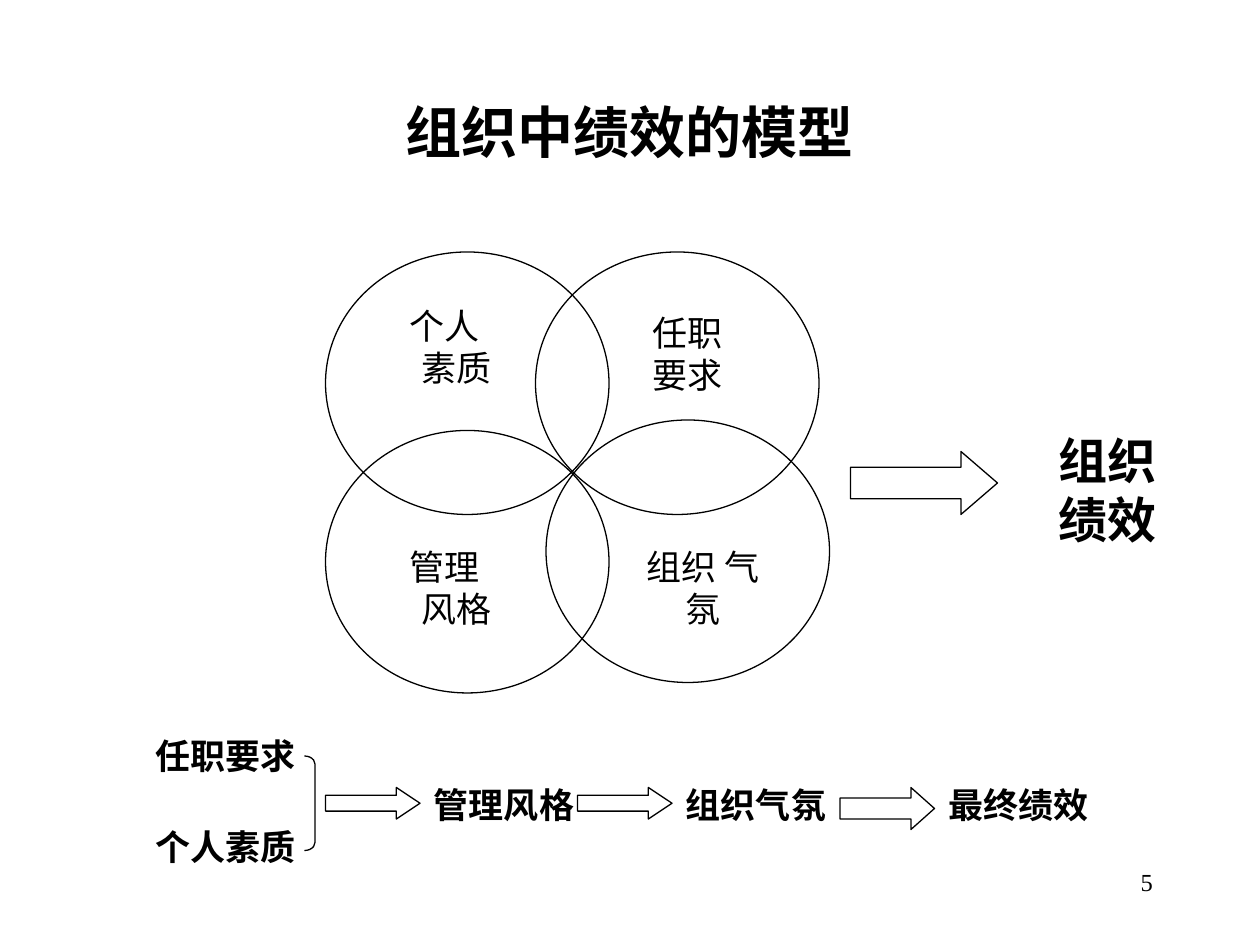
from pptx import Presentation
from pptx.dml.color import RGBColor
from pptx.enum.shapes import MSO_SHAPE
from pptx.enum.text import MSO_ANCHOR, MSO_AUTO_SIZE, PP_ALIGN
from pptx.util import Inches, Pt

BLACK = RGBColor(0, 0, 0)
FONT = "Times New Roman"
LEFT, CENTER, RIGHT = PP_ALIGN.LEFT, PP_ALIGN.CENTER, PP_ALIGN.RIGHT
MIDDLE, TOP = MSO_ANCHOR.MIDDLE, MSO_ANCHOR.TOP
ELLIPSE, ARROW, BRACKET = MSO_SHAPE.OVAL, MSO_SHAPE.RIGHT_ARROW, MSO_SHAPE.RIGHT_BRACKET
UNIT = Inches(1) // 12  # every part sits on a grid of twelve units to the inch

# Content: positions and sizes are in grid units
TITLE = "组织中绩效的模型"
CIRCLE_SIZE = (27, 25)
CIRCLES = [(31, 24), (52, 40), (31, 41), (51, 24)]

# Text, left, top, width, height
CIRCLE_LABELS = [
    ("任职 要求", 59, 29, 13, 9.25),
    ("组织 气氛", 60, 51.33, 14, 9.25),
]
STEPPED_LABELS = [
    (("个人", "素质"), 36, 28.33, 15, 9.25),
    (("管理", "风格"), 36, 51.33, 15, 9.25),
]
STEP_INDENTS = (0.15, 0.25)  # inches, one for each line
RESULT = ("组织 绩效", 97, 40.33, 17, 12.5)
CAUSES = [("任职要求", 13, 69.33, 17, 5.25), ("个人素质", 13, 78, 17, 5.25)]
STAGES = ["管理风格", "组织气氛", "最终绩效"]
STAGE_LEFTS = (40, 64, 89)
PAGE_NUMBER = ("5", 86, 82, 25, 6)

# Left, top, width, height, head length as a share of the height
ARROWS = [
    (81, 43, 14, 6, 0.58),
    (31, 75, 9, 3, 0.75),
    (55, 75, 9, 3, 0.75),
    (80, 75, 9, 4, 0.56),
]


def grid(*units):
    return [round(unit * UNIT) for unit in units]


def add_outline(kind, *box):
    shape = slide.shapes.add_shape(kind, *grid(*box))
    shape.shadow.inherit = False
    shape.fill.background()
    shape.line.color.rgb = BLACK
    shape.line.width = Pt(0.75)
    return shape


def write(shape, lines, size, bold=False, align=CENTER, anchor=MIDDLE):
    frame = shape.text_frame
    frame.text = "\n".join(lines)
    frame_format = {"word_wrap": True, "auto_size": MSO_AUTO_SIZE.NONE,
                    "vertical_anchor": anchor}
    for name, value in frame_format.items():
        setattr(frame, name, value)
    font_format = {"name": FONT, "size": Pt(size), "bold": bold}
    for paragraph in frame.paragraphs:
        paragraph.alignment = align
        font = paragraph.runs[0].font
        font.color.rgb = BLACK
        for name, value in font_format.items():
            setattr(font, name, value)
    return frame


def add_text(lines, box, size, **options):
    return write(slide.shapes.add_textbox(*grid(*box)), lines, size, **options)


presentation = Presentation()
presentation.slide_width, presentation.slide_height = Inches(10), Inches(7.5)
slide = presentation.slides.add_slide(presentation.slide_layouts[5])

# Title
title = slide.shapes.title
title.left, title.top, title.width, title.height = grid(9, 8, 102, 9)
write(title, [TITLE], 32, bold=True)

# Four overlapping circles and their labels
for position in CIRCLES:
    add_outline(ELLIPSE, *position, *CIRCLE_SIZE)
for label, *box in CIRCLE_LABELS:
    add_text([label], box, 20)
for lines, *box in STEPPED_LABELS:
    frame = add_text(lines, box, 20, align=LEFT)
    for paragraph, indent in zip(frame.paragraphs, STEP_INDENTS):
        properties = paragraph._p.get_or_add_pPr()
        properties.set("marL", str(Inches(indent)))
        properties.set("indent", "0")

# Arrows to the result and along the bottom chain
for *box, head in ARROWS:
    add_outline(ARROW, *box).adjustments[1] = head
label, *box = RESULT
add_text([label], box, 28, bold=True)

# Bottom chain: two causes joined by a bracket, then the stages
for label, *box in CAUSES:
    add_text([label], box, 20, bold=True)
add_outline(BRACKET, 29, 72, 1, 9).adjustments[0] = 0.75
for label, left in zip(STAGES, STAGE_LEFTS):
    add_text([label], (left, 74, 16, 5.25), 20, bold=True)

# Page number
label, *box = PAGE_NUMBER
add_text([label], box, 14, align=RIGHT, anchor=TOP)

presentation.save("out.pptx")
